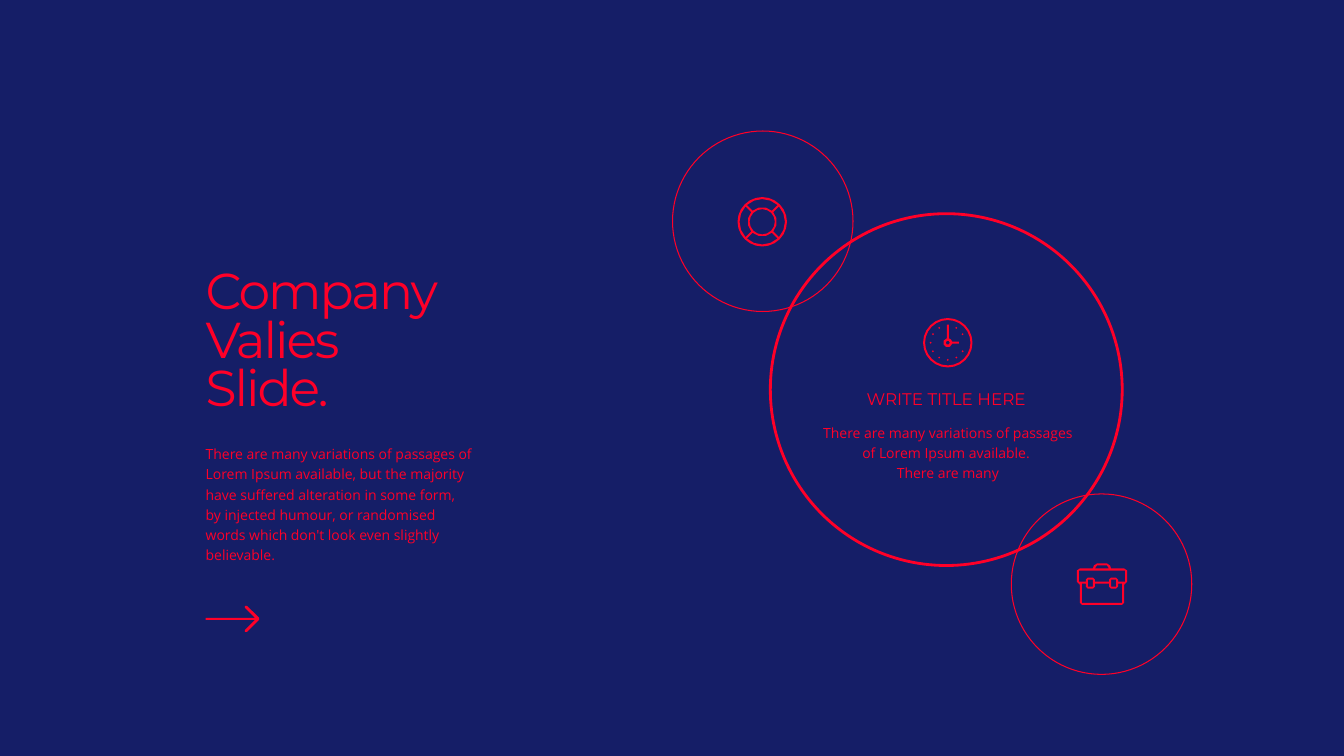
from math import asin, cos, degrees, radians, sin

from pptx import Presentation
from pptx.dml.color import RGBColor
from pptx.enum.shapes import MSO_SHAPE
from pptx.enum.text import MSO_ANCHOR, MSO_AUTO_SIZE, PP_ALIGN
from pptx.util import Inches, Pt

NAVY = RGBColor(0x15, 0x1E, 0x67)
RED = RGBColor(0xFF, 0x00, 0x28)

TITLE = "Company\vValies\vSlide."
INTRO = (
    "There are many variations of passages of Lorem Ipsum available, but the "
    "majority have suffered alteration in some form, by injected humour, or "
    "randomised words which don't look even slightly believable."
)
VALUE_TITLE = "WRITE TITLE HERE"
VALUE_TEXT = (
    "There are many variations of passages of Lorem Ipsum available. \n"
    "There are many"
)

HALF_STROKE = 0.01
ICON_RADIUS = 0.245
RIM_RADIUS = 0.225


def style_text(frame, text, font_name, size, spacing, align):
    frame.text = text
    frame.word_wrap = True
    frame.vertical_anchor = MSO_ANCHOR.TOP
    frame.margin_left = frame.margin_right = 0
    for paragraph in frame.paragraphs:
        paragraph.alignment = align
        paragraph.line_spacing = spacing
        paragraph.font.name = font_name
        paragraph.font.size = Pt(size)
        paragraph.font.color.rgb = RED


def add_title(slide):
    title = slide.shapes.title
    title.left, title.top = Inches(2.04), Inches(2.48)
    title.width, title.height = Inches(4.62), Inches(1.77)
    frame = title.text_frame
    style_text(frame, TITLE, "Montserrat", 36, 0.8, PP_ALIGN.LEFT)
    frame.auto_size = MSO_AUTO_SIZE.NONE
    frame.margin_top, frame.margin_bottom = Inches(0.21), 0
    for run in frame.paragraphs[0].runs:
        run._r.get_or_add_rPr().set("spc", "-150")


def add_text(slide, box, text, font_name, size, spacing, align):
    frame = slide.shapes.add_textbox(*map(Inches, box)).text_frame
    style_text(frame, text, font_name, size, spacing, align)
    frame.auto_size = MSO_AUTO_SIZE.SHAPE_TO_FIT_TEXT
    frame.margin_top = frame.margin_bottom = Inches(0.05)


def add_ring(slide, left, top, diameter, weight):
    ring = slide.shapes.add_shape(
        MSO_SHAPE.OVAL, Inches(left), Inches(top), Inches(diameter), Inches(diameter)
    )
    ring.shadow.inherit = False
    ring.fill.background()
    ring.line.color.rgb = RED
    ring.line.width = Pt(weight)


def add_outline(slide, x, y, contours):
    """Fill closed contours, given in inches from (x, y), as one shape."""
    builder = None
    for contour in contours:
        points = [(Inches(x + dx), Inches(y + dy)) for dx, dy in contour]
        if builder is None:
            builder = slide.shapes.build_freeform(*points[0])
        else:
            builder.move_to(*points[0])
        builder.add_line_segments(points[1:], close=True)
    outline = builder.convert_to_shape()
    outline.shadow.inherit = False
    outline.fill.solid()
    outline.fill.fore_color.rgb = RED
    outline.line.fill.background()


def arc(radius, start, end, steps):
    """Points on an arc about (0, 0); degrees run clockwise from the right."""
    angles = [radians(start + (end - start) * i / steps) for i in range(steps + 1)]
    return [(radius * cos(a), radius * sin(a)) for a in angles]


def circle(radius, dx=0, dy=0, steps=24):
    return [(x + dx, y + dy) for x, y in arc(radius, 0, 360, steps)[:-1]]


def stroke_angle(radius):
    """Angle that half a stroke covers at a radius."""
    return degrees(asin(HALF_STROKE / radius))


def mirrored(right_half):
    return right_half + [(-x, y) for x, y in reversed(right_half)]


def add_lifebuoy(slide, x, y):
    inner = 0.145
    outer_edge = 45 - stroke_angle(RIM_RADIUS)
    inner_edge = 45 - stroke_angle(inner)
    panels = [
        arc(RIM_RADIUS, middle - outer_edge, middle + outer_edge, 4)
        + arc(inner, middle + inner_edge, middle - inner_edge, 3)
        for middle in range(0, 360, 90)
    ]
    hole = circle(0.125, steps=16)
    add_outline(slide, x, y, [circle(ICON_RADIUS), hole] + panels)


def add_clock(slide, x, y):
    hub = 0.045
    gap = stroke_angle(hub)
    hands = (
        arc(hub, gap, 270 - gap, 5)
        + [(-HALF_STROKE, -0.18), (HALF_STROKE, -0.18)]
        + arc(hub, 270 + gap, 360 - gap, 2)
        + [(0.11, -HALF_STROKE), (0.11, HALF_STROKE)]
    )
    hours = [
        circle(0.01, *center, steps=4)
        for center in arc(0.17, 30, 330, 10)
        if center[1] > -0.169
    ]
    pivot = circle(0.02, steps=6)
    face = [circle(ICON_RADIUS), circle(RIM_RADIUS), hands, pivot]
    add_outline(slide, x, y, face + hours)


def add_briefcase(slide, x, y):
    case = mirrored([
        (0.05, 0), (0.08, 0.02), (0.09, 0.05), (0.22, 0.05), (0.25, 0.07),
        (0.25, 0.18), (0.22, 0.21), (0.22, 0.39), (0.2, 0.41),
    ])
    handle = mirrored([(0.05, 0.02), (0.07, 0.05)])
    lid = mirrored([
        (0.23, 0.07), (0.23, 0.18), (0.16, 0.18), (0.16, 0.16),
        (0.14, 0.14), (0.09, 0.14), (0.07, 0.16), (0.07, 0.18),
    ])
    body = mirrored([
        (0.07, 0.2), (0.07, 0.23), (0.09, 0.25), (0.14, 0.25),
        (0.16, 0.23), (0.16, 0.2), (0.2, 0.2), (0.2, 0.39),
    ])
    latch = [(0.09, 0.16), (0.14, 0.16), (0.14, 0.23), (0.09, 0.23)]
    other_latch = [(-dx, dy) for dx, dy in latch]
    add_outline(slide, x, y, [case, handle, lid, body, latch, other_latch])


def add_arrow(slide, x, y):
    upper = [
        (0, -0.01), (0.49, -0.01), (0.39, -0.11),
        (0.39, -0.13), (0.41, -0.13), (0.53, -0.01),
    ]
    lower = [(dx, -dy) for dx, dy in reversed(upper)]
    add_outline(slide, x, y, [upper + lower])


def main():
    deck = Presentation()
    deck.slide_width, deck.slide_height = Inches(13.33), Inches(7.5)
    slide = deck.slides.add_slide(deck.slide_layouts[5])
    slide.background.fill.solid()
    slide.background.fill.fore_color.rgb = NAVY

    add_title(slide)
    add_text(slide, (2.04, 4.34, 2.64, 1.31), INTRO,
             "Open Sans", 10, 1.2, PP_ALIGN.LEFT)
    add_arrow(slide, 2.04, 6.14)

    add_text(slide, (8.07, 3.86, 2.63, 0.26), VALUE_TITLE,
             "Montserrat", 12, 0.7, PP_ALIGN.CENTER)
    add_clock(slide, 9.4, 3.4)
    add_text(slide, (8.09, 4.13, 2.62, 0.71), VALUE_TEXT,
             "Open Sans", 10, 1.2, PP_ALIGN.CENTER)

    add_ring(slide, 7.64, 2.12, 3.49, 2)
    add_ring(slide, 10.03, 4.9, 1.79, 0.75)
    add_ring(slide, 6.67, 1.3, 1.79, 0.75)
    add_lifebuoy(slide, 7.56, 2.2)
    add_briefcase(slide, 10.93, 5.59)

    deck.save("out.pptx")


if __name__ == "__main__":
    main()
